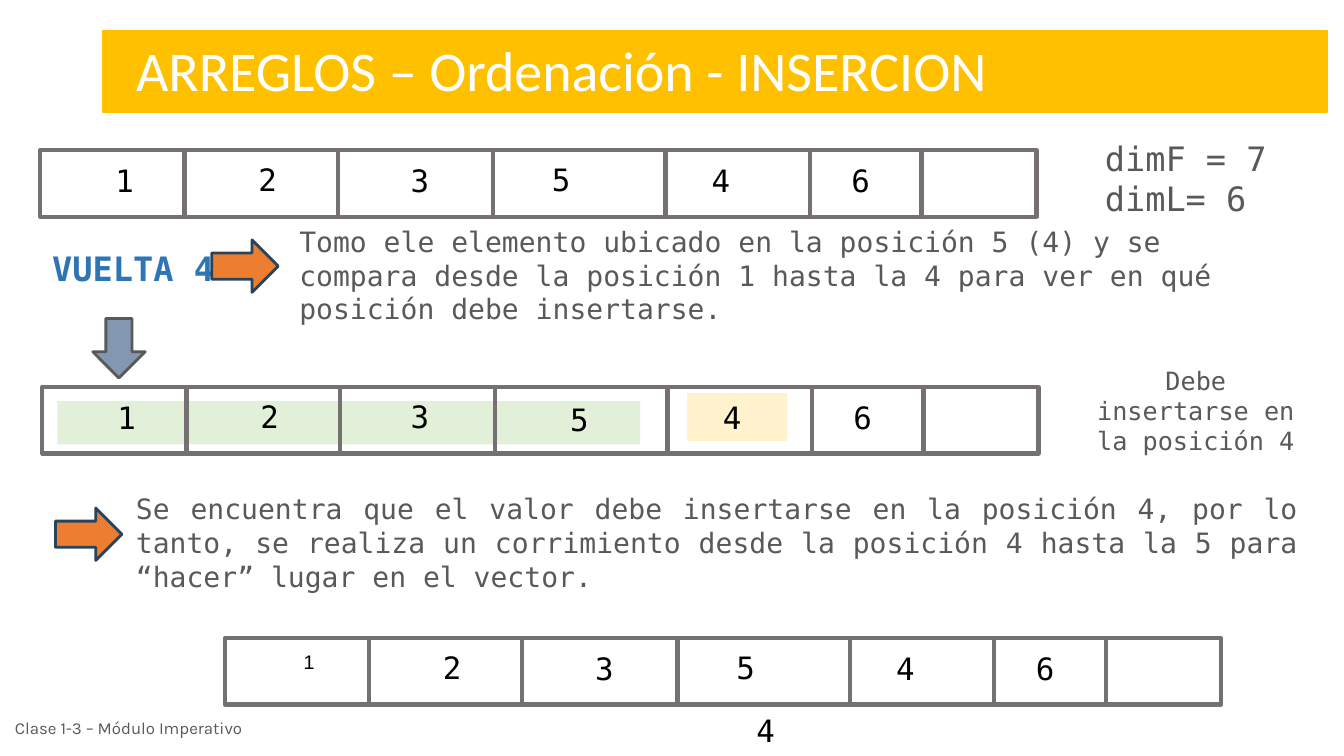
from lxml import etree
from pptx import Presentation
from pptx.dml.color import RGBColor
from pptx.enum.shapes import MSO_CONNECTOR, MSO_SHAPE
from pptx.enum.text import MSO_ANCHOR, PP_ALIGN
from pptx.oxml.ns import qn
from pptx.util import Inches, Pt

RECT, DOWN = MSO_SHAPE.RECTANGLE, MSO_SHAPE.DOWN_ARROW
LEFT, MID, JUST = PP_ALIGN.LEFT, PP_ALIGN.CENTER, PP_ALIGN.JUSTIFY
TOP, CENTER = MSO_ANCHOR.TOP, MSO_ANCHOR.MIDDLE
STRAIGHT = MSO_CONNECTOR.STRAIGHT
MONO = "DejaVu Sans Mono"
COLORS = {
    "gold": "FFC000", "white": "FFFFFF", "black": "000000", "gray": "595959",
    "frame": "767171", "blue": "2E75B6", "orange": "ED7D31", "navy": "28445D",
    "steel": "8497B0", "cream": "FFF2CC", "green": "E2F0D9",
}
CELLS = [(0.26, 0.07, 1.15), (1.68, 0.06, 1.15), (3.18, 0.07, 1.17),
         (4.57, 0.06, 1.19), (6.37, 0.07, 0.76), (7.72, 0.07, 0.83)]
BARS = [(1.43, 0), (2.95, 0), (4.49, 0), (6.2, 0), (7.63, 0.02), (8.74, 0.02)]


def color(name):
    """Return the named colour."""
    return RGBColor.from_string(COLORS[name])


def write(frame, text, size, tint="gray", font=MONO, align=LEFT, bold=False, anchor=TOP):
    """Fill a text frame and format its paragraphs."""
    frame.word_wrap = True
    frame.vertical_anchor = anchor
    frame.margin_left = frame.margin_right = Inches(0.1)
    frame.margin_top = frame.margin_bottom = Inches(0.05)
    frame.text = text
    for para in frame.paragraphs:
        para.alignment = align
        para.font.name = font
        para.font.size = Pt(size)
        para.font.bold = bold
        para.font.color.rgb = color(tint)


def label(slide, box, text, size, **style):
    """Add a text box."""
    note = slide.shapes.add_textbox(*map(Inches, box))
    write(note.text_frame, text, size, **style)


def block(slide, box, fill=None, line=None, width=1, kind=RECT, turn=0):
    """Add a flat shape with optional fill, outline and rotation."""
    shape = slide.shapes.add_shape(kind, *map(Inches, box))
    shape.shadow.inherit = False
    shape.rotation = turn
    if fill:
        shape.fill.solid()
        shape.fill.fore_color.rgb = color(fill)
    else:
        shape.fill.background()
    if line:
        shape.line.color.rgb = color(line)
        shape.line.width = Pt(width)
    else:
        shape.line.fill.background()


def bar(slide, x, y, height):
    """Add a vertical divider."""
    line = slide.shapes.add_connector(STRAIGHT, *map(Inches, (x, y, x, y + height)))
    line.line.color.rgb = color("frame")
    line.line.width = Pt(3)
    etree.SubElement(line.element.spPr, qn("a:effectLst"))


def array(slide, box, values, shifts=None, small=()):
    """Draw a seven-cell array with its values."""
    left, top, _, height = box
    block(slide, box, line="frame", width=3)
    for x, y in BARS:
        bar(slide, left + x, top + y, height)
    for i, (text, (x, y, width)) in enumerate(zip(values, CELLS)):
        dx, dy = (shifts or {}).get(i, (0, 0))
        font, size, tall = ("Arial", 14, 0.34) if i in small else (MONO, 22, 0.47)
        label(slide, (left + x + dx, top + y + dy, width, tall), text, size,
              tint="black", font=font, align=MID)


def header(slide, box):
    """Draw the gold band and place the title on it."""
    left, top, _, height = box
    block(slide, box, "gold", "gold")
    title = slide.shapes.title
    title.left, title.top, title.width, title.height = map(
        Inches, (left + 0.23, top, 9.35, height - 0.04))
    write(title.text_frame, "ARREGLOS – Ordenación - INSERCION", 40,
          tint="white", font="Calibri")
    slide.shapes.element.append(title.element)


def start(slide, box):
    """Draw the first array, its sizes and the step being taken."""
    left, top, _, _ = box
    array(slide, (left, top, 9.88, 0.66), "123546")
    label(slide, (left + 10.46, top - 0.17, 2.3, 0.91), "dimF = 7\ndimL= 6", 24)
    label(slide, (left + 0.02, top + 0.92, 2.3, 0.5), "VUELTA 4", 24, tint="blue", bold=True)
    block(slide, (left + 1.77, top + 0.82, 0.52, 0.66), "orange", "navy", 2, DOWN, 270)
    label(slide, (left + 2.47, top + 0.69, 10.02, 1.11),
          "Tomo ele elemento ubicado en la posición 5 (4) y se compara desde la "
          "posición 1 hasta la 4 para ver en qué posición debe insertarse.", 20)


def check(slide, box):
    """Draw the array being compared, with its highlights."""
    left, top, _, _ = box
    block(slide, (left + 6.4, top + 0.06, 0.98, 0.47), "cream", "cream", 0.75)
    block(slide, (left + 0.15, top + 0.14, 5.78, 0.43), "green")
    array(slide, (left, top, 9.88, 0.66), ["1", "2", "3", "5", " 4", "6"],
          {2: (-0.02, -0.01), 3: (0.16, 0.03)})
    block(slide, (left + 0.5, top - 0.68, 0.52, 0.59), "steel", "gray", 2, DOWN)
    label(slide, (left + 10.29, top - 0.27, 2.3, 1.01),
          "Debe insertarse en la posición 4", 18, align=MID)


def shift(slide, box):
    """Explain the shift and draw the array with the value set aside."""
    left, top, _, _ = box
    block(slide, (left, top + 0.14, 0.52, 0.66), "orange", "navy", 2, DOWN, 270)
    label(slide, (left + 0.63, top, 11.72, 1.11),
          "Se encuentra que el valor debe insertarse en la posición 4, por lo "
          "tanto, se realiza un corrimiento desde la posición 4 hasta la 5 para "
          "“hacer” lugar en el vector.", 20, align=JUST)
    array(slide, (left + 1.61, top + 1.5, 9.88, 0.66), "123546", small=(0,))
    label(slide, (left + 6.39, top + 2.18, 1.17, 0.47), "4", 22, tint="black", align=MID)


def main():
    """Build and save the slide."""
    deck = Presentation()
    deck.slide_width, deck.slide_height = Inches(13.33), Inches(7.5)
    slide = deck.slides.add_slide(deck.slide_layouts[5])
    header(slide, (1.02, 0.3, 12.14, 0.81))
    start(slide, (0.4, 1.49, 12.76, 1.8))
    check(slide, (0.42, 3.84, 12.59, 0.74))
    shift(slide, (0.62, 4.83, 12.35, 2.65))
    label(slide, (0.05, 6.98, 3.16, 0.48), "Clase 1-3 – Módulo Imperativo", 12,
          font="Karla", anchor=CENTER)
    deck.save("out.pptx")


if __name__ == "__main__":
    main()
